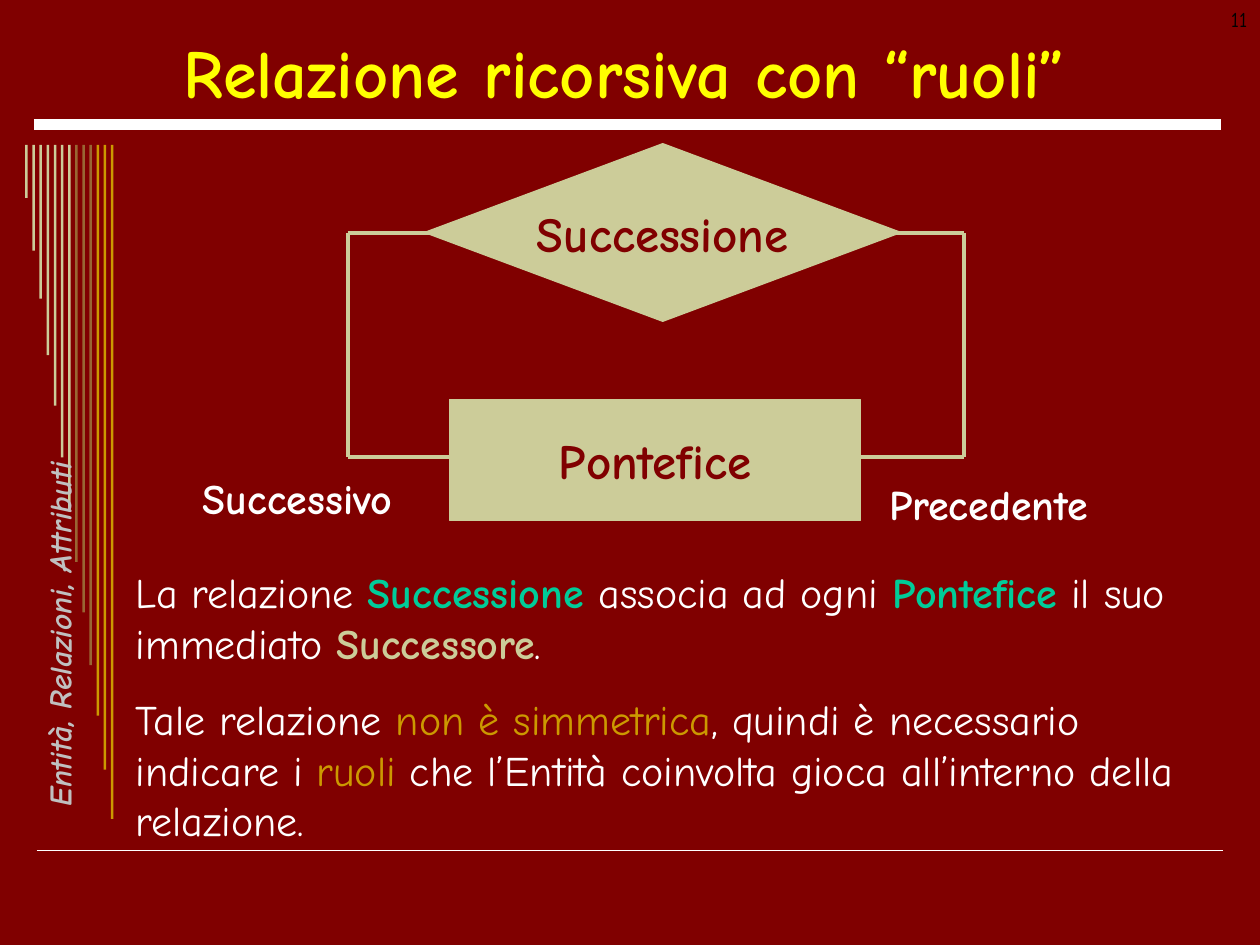
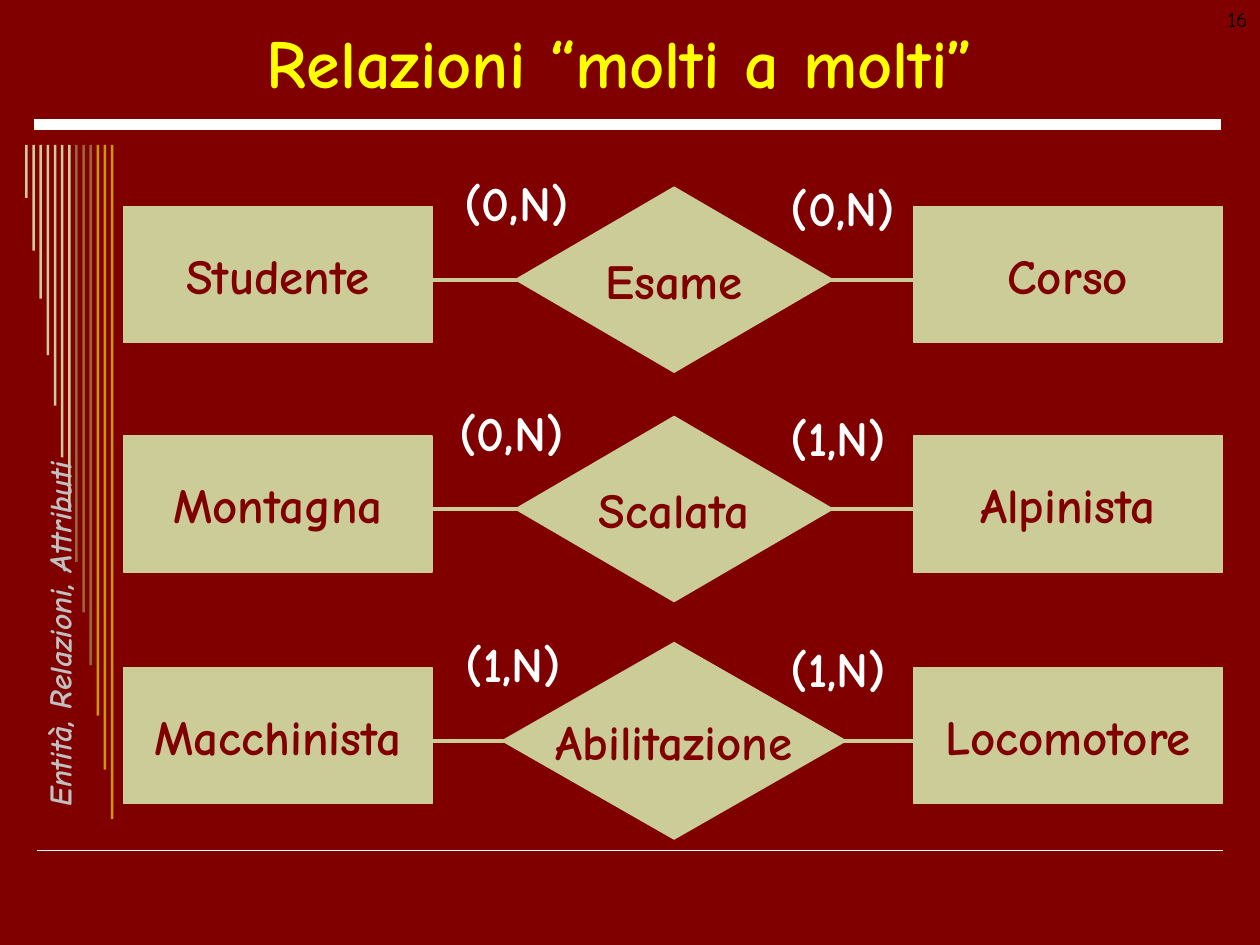
"""Builds two slides on entity-relationship diagrams: recursive and many-to-many relations."""
from lxml import etree
from pptx import Presentation
from pptx.dml.color import RGBColor
from pptx.enum.shapes import MSO_CONNECTOR, MSO_SHAPE
from pptx.enum.text import MSO_ANCHOR, MSO_AUTO_SIZE, PP_ALIGN
from pptx.oxml.ns import qn
from pptx.util import Inches, Pt

MAROON = RGBColor(0x80, 0x00, 0x00)
SAND = RGBColor(0xCC, 0xCC, 0x99)
BROWN = RGBColor(0x99, 0x66, 0x33)
GOLD = RGBColor(0xCC, 0x99, 0x00)
GREEN = RGBColor(0x00, 0xCC, 0x99)
YELLOW = RGBColor(0xFF, 0xFF, 0x00)
WHITE = RGBColor(0xFF, 0xFF, 0xFF)
SILVER = RGBColor(0xC0, 0xC0, 0xC0)
BLACK = RGBColor(0x00, 0x00, 0x00)

FONT = "Comic Neue"
STRAIGHT = MSO_CONNECTOR.STRAIGHT
RECTANGLE, DIAMOND = MSO_SHAPE.RECTANGLE, MSO_SHAPE.DIAMOND
LEFT, CENTER, RIGHT = PP_ALIGN.LEFT, PP_ALIGN.CENTER, PP_ALIGN.RIGHT
TOP, MIDDLE = MSO_ANCHOR.TOP, MSO_ANCHOR.MIDDLE
NO_AUTOFIT = MSO_AUTO_SIZE.NONE

STRIPE_HEIGHTS = [0.42, 0.84, 1.22, 1.67, 2.07, 2.48, 2.91,
                  3.31, 3.71, 4.13, 4.53, 4.96, 5.35]
STRIPE_COLORS = [SAND] * 7 + [BROWN] * 3 + [GOLD] * 3
CARDINALITY_WIDTHS = {"(0,N)": 1.02, "(1,N)": 0.95}

ROLE_NOTES = [
    [("La relazione ", WHITE, False), ("Successione ", GREEN, True),
     ("associa ad ogni ", WHITE, False), ("Pontefice", GREEN, True),
     (" il suo immediato ", WHITE, False), ("Successore", SAND, True),
     (".", WHITE, False)],
    [("Tale relazione ", WHITE, False), ("non è simmetrica", GOLD, False),
     (", quindi è necessario indicare i ", WHITE, False), ("ruoli", GOLD, False),
     (" che l’Entità coinvolta gioca all’interno della relazione.", WHITE, False)],
]

MANY_TO_MANY = [
    (2.22, "Studente", "Esame", "Corso", (2.52, 1.47), ("(0,N)", 3.59), "(0,N)"),
    (4.04, "Montagna", "Scalata", "Alpinista", (2.52, 1.47), ("(0,N)", 3.55), "(1,N)"),
    (5.88, "Macchinista", "Abilitazione", "Locomotore", (2.73, 1.56), ("(1,N)", 3.6), "(1,N)"),
]


def style(para, size, color, bold=True, align=CENTER):
    """Set the font and alignment of a paragraph."""
    para.alignment = align
    para.font.name = FONT
    para.font.size = Pt(size)
    para.font.bold = bold
    para.font.color.rgb = color


def write(frame, text, size, color, bold=True, align=CENTER, anchor=MIDDLE, wrap=False):
    """Fill a text frame with one styled paragraph and return it."""
    frame.word_wrap = wrap
    frame.auto_size = NO_AUTOFIT
    frame.vertical_anchor = anchor
    para = frame.paragraphs[0]
    para.text = text
    style(para, size, color, bold, align)
    return para


def add_label(page, x, y, width, height, text, size, color, **options):
    """Add a text box with a single line."""
    box = page.shapes.add_textbox(Inches(x), Inches(y), Inches(width), Inches(height))
    write(box.text_frame, text, size, color, **options)
    return box


def add_line(page, start, end, color=SAND, weight=2.25):
    """Add a straight line without shadow."""
    line = page.shapes.add_connector(STRAIGHT, *map(Inches, start + end))
    line.line.color.rgb = color
    line.line.width = Pt(weight)
    etree.SubElement(line._element.spPr, qn("a:effectLst"))


def add_block(page, kind, x, y, width, height, color):
    """Add a flat filled shape without outline."""
    block = page.shapes.add_shape(kind, Inches(x), Inches(y), Inches(width), Inches(height))
    block.shadow.inherit = False
    block.fill.solid()
    block.fill.fore_color.rgb = color
    block.line.fill.background()
    return block


def add_node(page, kind, x, y, width, height, text):
    """Add an entity rectangle or a relation diamond with its name."""
    node = add_block(page, kind, x, y, width, height, SAND)
    node.line.color.rgb = SAND
    node.line.width = Pt(0.75)
    write(node.text_frame, text, 28, MAROON)


def add_page(deck, title, title_area, number):
    """Add a slide with the shared rules, stripes, side text, title and number."""
    page = deck.slides.add_slide(deck.slide_layouts[5])
    add_line(page, (0.29, 6.75), (9.71, 6.75), WHITE, 1)
    add_line(page, (0.27, 0.99), (9.69, 0.99), WHITE, 6)
    step = 0.68 / (len(STRIPE_HEIGHTS) - 1)
    for index, (height, color) in enumerate(zip(STRIPE_HEIGHTS, STRIPE_COLORS)):
        add_block(page, RECTANGLE, 0.2 + index * step, 1.15, 0.02, height, color)
    side = add_label(page, -0.75, 5.24, 2.28, 0.24, "Entità, Relazioni, Attributi",
                     18, SILVER, align=LEFT, anchor=TOP)
    side.rotation = 270
    side.text_frame.paragraphs[0].font.italic = True
    heading = page.shapes.title
    heading.left, heading.top, heading.width, heading.height = map(Inches, title_area)
    write(heading.text_frame, title, 39, YELLOW, wrap=True)
    add_label(page, 7.67, 0, 2.33, 0.5, number, 12, BLACK,
              bold=False, align=RIGHT, anchor=TOP, wrap=True)
    return page


def add_notes_box(page, x, y, width, height, paragraphs):
    """Add a text box whose paragraphs mix colours and weights."""
    box = page.shapes.add_textbox(Inches(x), Inches(y), Inches(width), Inches(height))
    frame = box.text_frame
    frame.word_wrap = True
    for index, spans in enumerate(paragraphs):
        para = frame.add_paragraph() if index else frame.paragraphs[0]
        if index:
            para.space_before = Pt(15)
        style(para, 24, WHITE, False, LEFT)
        for text, color, bold in spans:
            span = para.add_run()
            span.text = text
            span.font.color.rgb = color
            span.font.bold = bold


def add_recursive_diagram(page):
    """Draw a relation whose two ends meet the same entity."""
    left, right, upper, lower = 2.76, 7.65, 1.85, 3.63
    add_line(page, (left, upper), (right, upper))
    add_line(page, (left, lower), (right, lower))
    for side in (left, right):
        add_line(page, (side, upper), (side, lower))
    add_node(page, DIAMOND, 3.37, 1.14, 3.78, 1.41, "Successione")
    add_node(page, RECTANGLE, 3.57, 3.17, 3.26, 0.96, "Pontefice")
    add_label(page, 1.51, 3.7, 1.71, 0.5, "Successivo", 24, WHITE, align=LEFT, anchor=TOP)
    add_label(page, 6.96, 3.75, 1.79, 0.5, "Precedente", 24, WHITE, align=LEFT, anchor=TOP)


def add_relation_row(page, y, first, relation, second, size, left_end, right_cardinality):
    """Draw two entities joined by a relation, with both cardinalities."""
    width, height = size
    add_line(page, (3.28, y), (7.48, y))
    add_node(page, DIAMOND, 5.35 - width / 2, y - height / 2, width, height, relation)
    for x, entity in ((0.98, first), (7.25, second)):
        add_node(page, RECTANGLE, x, y - 0.58, 2.45, 1.08, entity)
    left_cardinality, left_x = left_end
    for cardinality, x, rise in ((left_cardinality, left_x, 0.9),
                                 (right_cardinality, 6.18, 0.86)):
        add_label(page, x, y - rise, CARDINALITY_WIDTHS[cardinality], 0.57,
                  cardinality, 28, WHITE)


def main():
    """Build the deck and save it."""
    deck = Presentation()
    deck.slide_width, deck.slide_height = Inches(10), Inches(7.5)
    background = deck.slide_master.background.fill
    background.solid()
    background.fore_color.rgb = MAROON

    page = add_page(deck, "Relazione ricorsiva con “ruoli”", (0.35, 0.21, 9.21, 0.71), "11")
    add_recursive_diagram(page)
    add_notes_box(page, 0.98, 4.45, 8.66, 2.31, ROLE_NOTES)

    page = add_page(deck, "Relazioni “molti a molti”", (0.61, 0.26, 8.62, 0.46), "16")
    for row in MANY_TO_MANY:
        add_relation_row(page, *row)

    deck.save("out.pptx")


if __name__ == "__main__":
    main()
